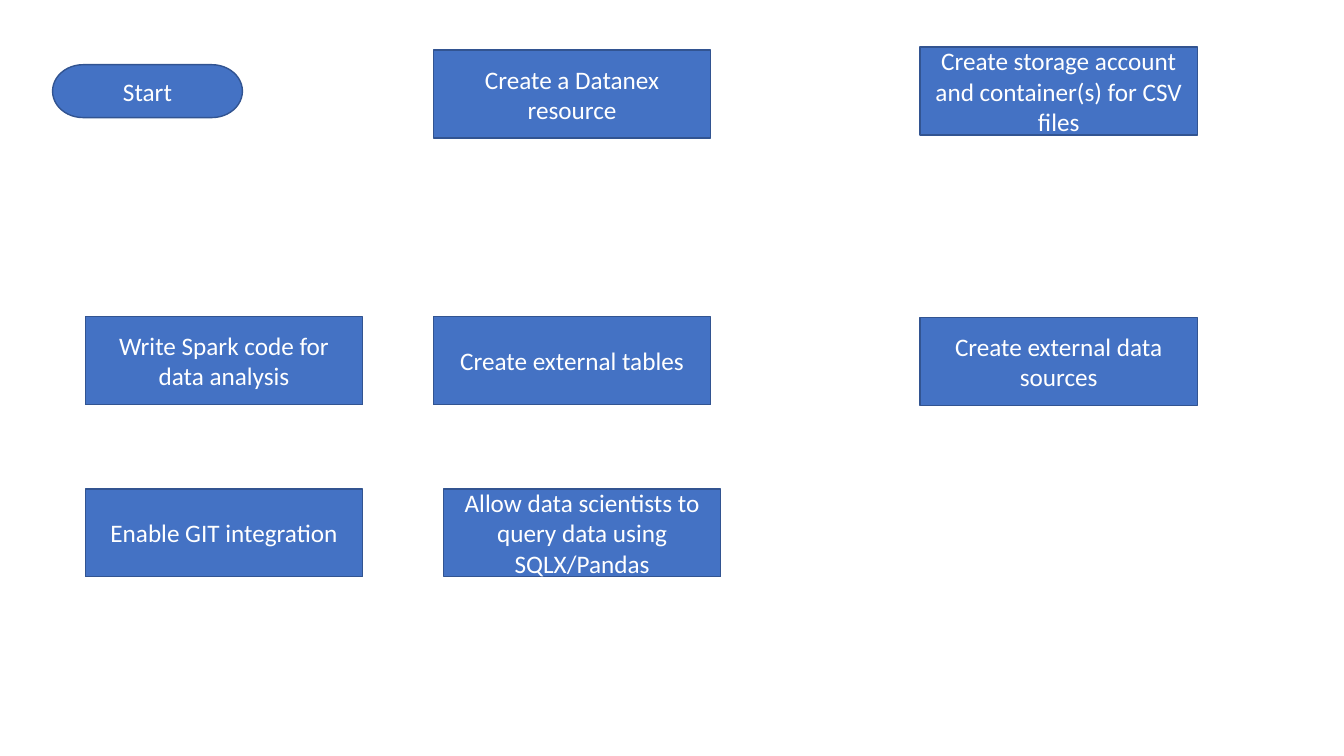
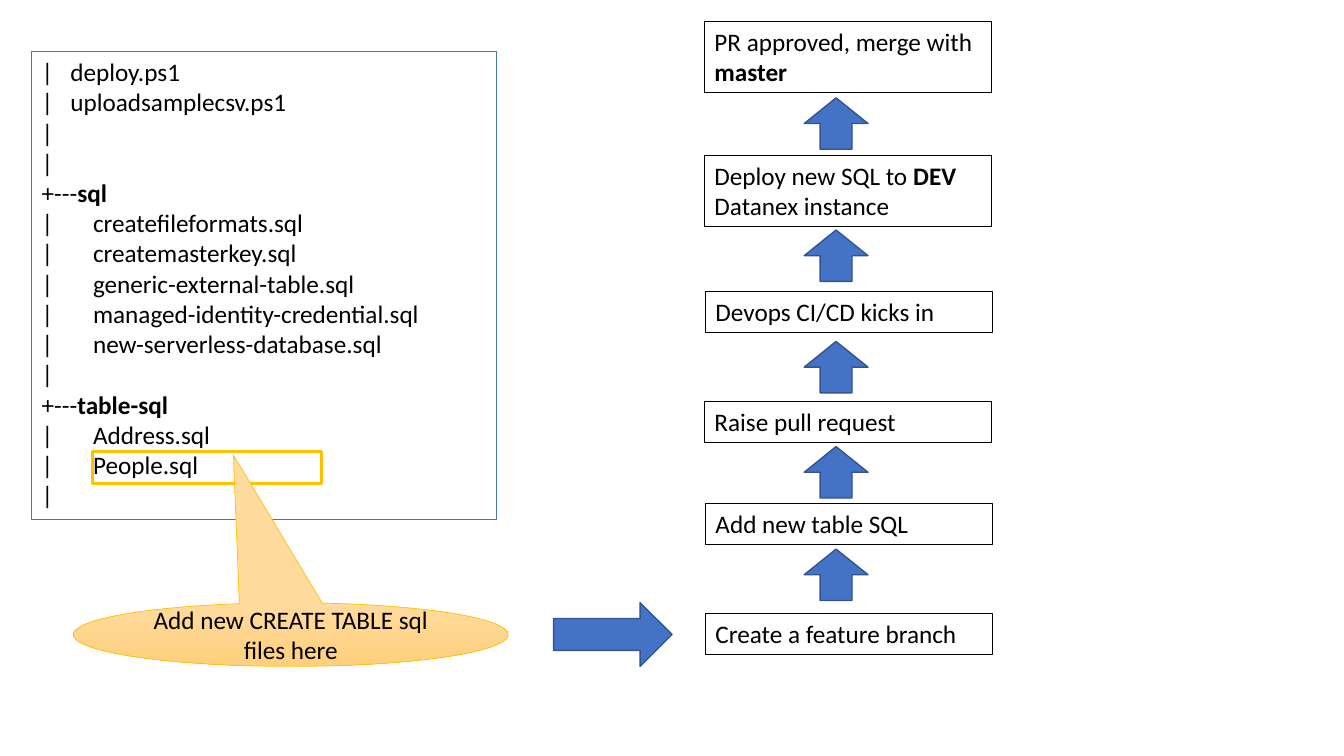
from pptx import Presentation
from pptx.dml.color import RGBColor
from pptx.enum import shapes, text
from pptx.oxml import parse_xml
from pptx.oxml.ns import nsdecls
from pptx.util import Pt

BLUE = RGBColor(0x44, 0x72, 0xC4)
DARK_BLUE = RGBColor(0x32, 0x54, 0x91)
GOLD = RGBColor(0xFF, 0xC0, 0x00)
LIGHT_PEACH = RGBColor(0xFF, 0xDB, 0x9E)
PEACH = RGBColor(0xFF, 0xD0, 0x7C)
BLACK = RGBColor(0, 0, 0)
WHITE = RGBColor(0xFF, 0xFF, 0xFF)

KIND = shapes.MSO_SHAPE
FONT = {"name": "Calibri", "size": Pt(18)}
CENTRED = {"align": text.PP_ALIGN.CENTER, "anchor": text.MSO_ANCHOR.MIDDLE}
SOLID = {"fill": BLUE, "line": DARK_BLUE, "weight": 1}

# Process steps: left, top, wording
PROCESS_SIZE = (198, 62.8)
PROCESS = [
    (309.6, 35.8, "Create a Datanex resource"),
    (657.2, 33.6, "Create storage account and container(s) for CSV files"),
    (657.2, 226.8, "Create external data sources"),
    (309.6, 226.2, "Create external tables"),
    (61, 226.2, "Write Spark code for data analysis"),
    (61, 349.2, "Enable GIT integration"),
    (316.8, 349.2, "Allow data scientists to query data using SQLX/Pandas"),
]

# File tree: indent after the bar, wording (bold between asterisks)
ROOT, NESTED = 20.5, 36.7
TREE = [
    (ROOT, "|\tdeploy.ps1"),
    (ROOT, "|\tuploadsamplecsv.ps1"),
    (ROOT, "|"),
    (ROOT, "|"),
    (ROOT, "+---*sql*"),
    (NESTED, "|\tcreatefileformats.sql"),
    (NESTED, "|\tcreatemasterkey.sql"),
    (NESTED, "|\tgeneric-external-table.sql"),
    (NESTED, "|\tmanaged-identity-credential.sql"),
    (NESTED, "|\tnew-serverless-database.sql"),
    (ROOT, "|"),
    (ROOT, "+---*table-sql*"),
    (NESTED, "|\tAddress.sql"),
    (NESTED, "|\tPeople.sql"),
    (ROOT, "|"),
]

# Release steps: left, top, height, wording
ONE_LINE, TWO_LINES = 29.1, 50.9
RELEASE = [
    (503.3, 15.3, TWO_LINES, "PR approved, merge with *master*"),
    (503.3, 110.9, TWO_LINES, "Deploy new SQL to *DEV* Datanex instance"),
    (504, 208.2, ONE_LINE, "Devops CI/CD kicks in"),
    (503.3, 286.6, ONE_LINE, "Raise pull request"),
    (504, 359.8, ONE_LINE, "Add new table SQL"),
    (504, 438.3, ONE_LINE, "Create a feature branch"),
]
ARROW_TOPS = [69.9, 164.3, 243.9, 319, 392.2]


def add_box(page, kind, place, fill=None, line=BLACK, weight=0.5):
    """Add a flat preset shape; place is left, top, width, height in points."""
    box = page.shapes.add_shape(kind, *map(Pt, place))
    box.shadow.inherit = False
    if fill is None:
        box.fill.background()
    else:
        box.fill.solid()
        box.fill.fore_color.rgb = fill
    box.line.color.rgb = line
    box.line.width = Pt(weight)
    return box


def write(box, lines, color=BLACK, align=text.PP_ALIGN.LEFT,
          anchor=text.MSO_ANCHOR.TOP, grow=False):
    """Write one paragraph per line, with bold wording between asterisks."""
    frame = box.text_frame
    settings = {"word_wrap": True, "vertical_anchor": anchor}
    if grow:
        settings["auto_size"] = text.MSO_AUTO_SIZE.SHAPE_TO_FIT_TEXT
    for key, value in settings.items():
        setattr(frame, key, value)
    for number, line in enumerate(lines):
        para = frame.add_paragraph() if number else frame.paragraphs[0]
        para.alignment = align
        for part, wording in enumerate(line.split("*")):
            if not wording:
                continue
            span = para.add_run()
            span.text = wording
            for key, value in {**FONT, "bold": part % 2 == 1}.items():
                setattr(span.font, key, value)
            span.font.color.rgb = color


def set_tab(para, position):
    """Give a paragraph one left tab stop."""
    para._p.get_or_add_pPr().append(parse_xml(
        f'<a:tabLst {nsdecls("a")}><a:tab pos="{Pt(position)}" algn="l"/></a:tabLst>'))


def build_setup(page):
    """Draw the start mark and the process steps."""
    start = add_box(page, KIND.FLOWCHART_TERMINATOR, (37.6, 46.2, 135.6, 37.8), **SOLID)
    write(start, ["Start"], WHITE, **CENTRED)
    for left, top, wording in PROCESS:
        step = add_box(page, KIND.FLOWCHART_PROCESS, (left, top, *PROCESS_SIZE), **SOLID)
        write(step, [wording], WHITE, **CENTRED)


def build_release(page):
    """Draw the file tree, its callout and the release steps."""
    tree = add_box(page, KIND.RECTANGLE, (22.7, 36.7, 332, 334.4), line=BLUE, weight=0.75)
    write(tree, [line for _, line in TREE], grow=True)
    for para, (indent, line) in zip(tree.text_frame.paragraphs, TREE):
        if "\t" in line:
            set_tab(para, indent)

    add_box(page, KIND.RECTANGLE, (66.2, 322.4, 163.6, 23), line=GOLD, weight=2.25)

    callout = add_box(page, KIND.OVAL_CALLOUT, (52.4, 430.6, 310.6, 45.4), line=GOLD)
    for number, value in enumerate((-0.132, -2.826)):
        callout.adjustments[number] = value
    callout.fill.gradient()
    callout.fill.gradient_angle = 270
    for stop, color in zip(callout.fill.gradient_stops, (LIGHT_PEACH, PEACH)):
        stop.color.rgb = color
    write(callout, ["Add new CREATE TABLE sql files here"], **CENTRED)

    add_box(page, KIND.RIGHT_ARROW, (395.4, 430.4, 84.6, 45.6), **SOLID)
    for left, top, height, wording in RELEASE:
        step = add_box(page, KIND.RECTANGLE, (left, top, 204.6, height))
        write(step, [wording], grow=True)
    for top in ARROW_TOPS:
        add_box(page, KIND.UP_ARROW, (574.4, top, 45.6, 36.7), **SOLID)


deck = Presentation()
deck.slide_width, deck.slide_height = Pt(960), Pt(540)
blank = deck.slide_layouts[6]
for build in (build_setup, build_release):
    build(deck.slides.add_slide(blank))
deck.save("out.pptx")
